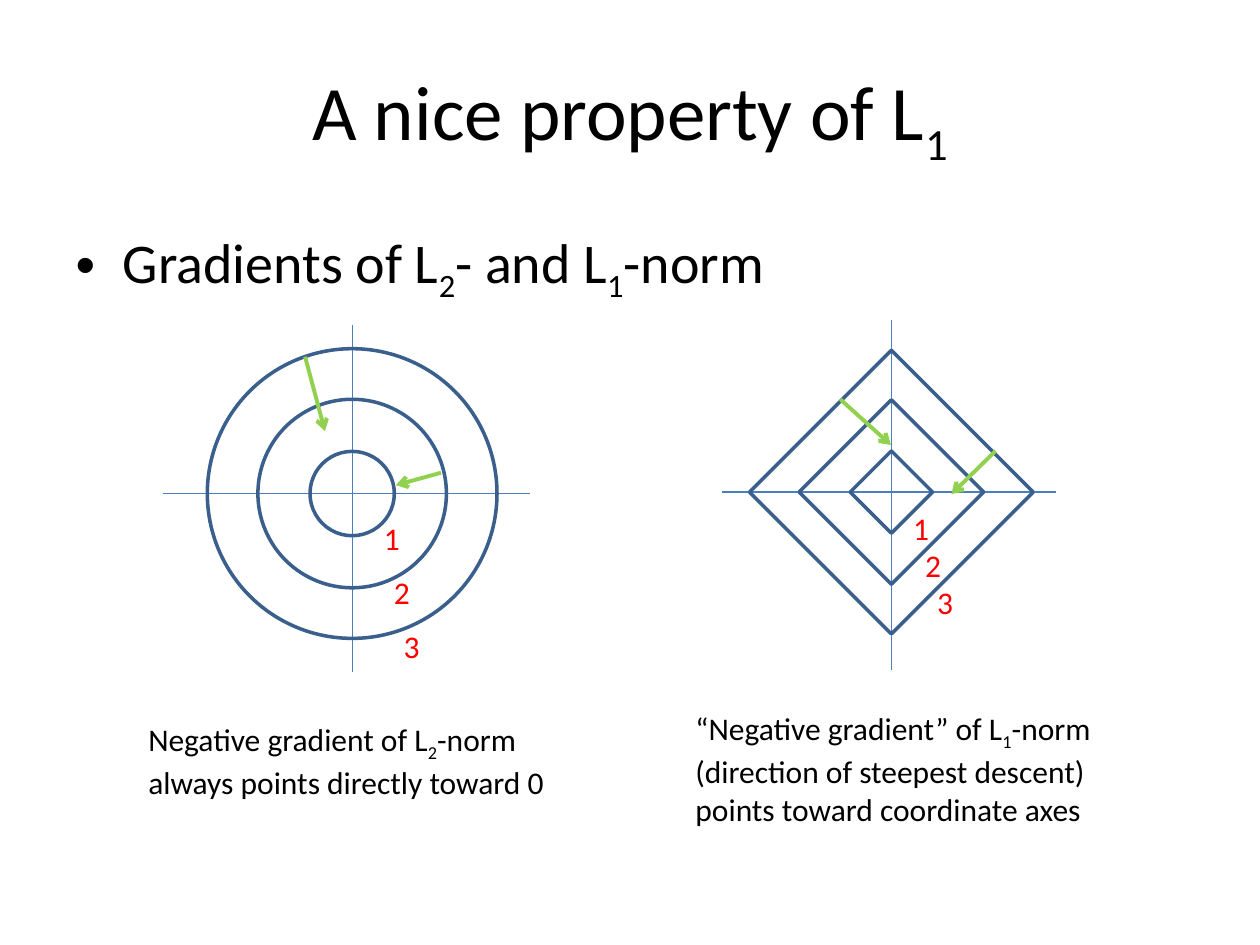
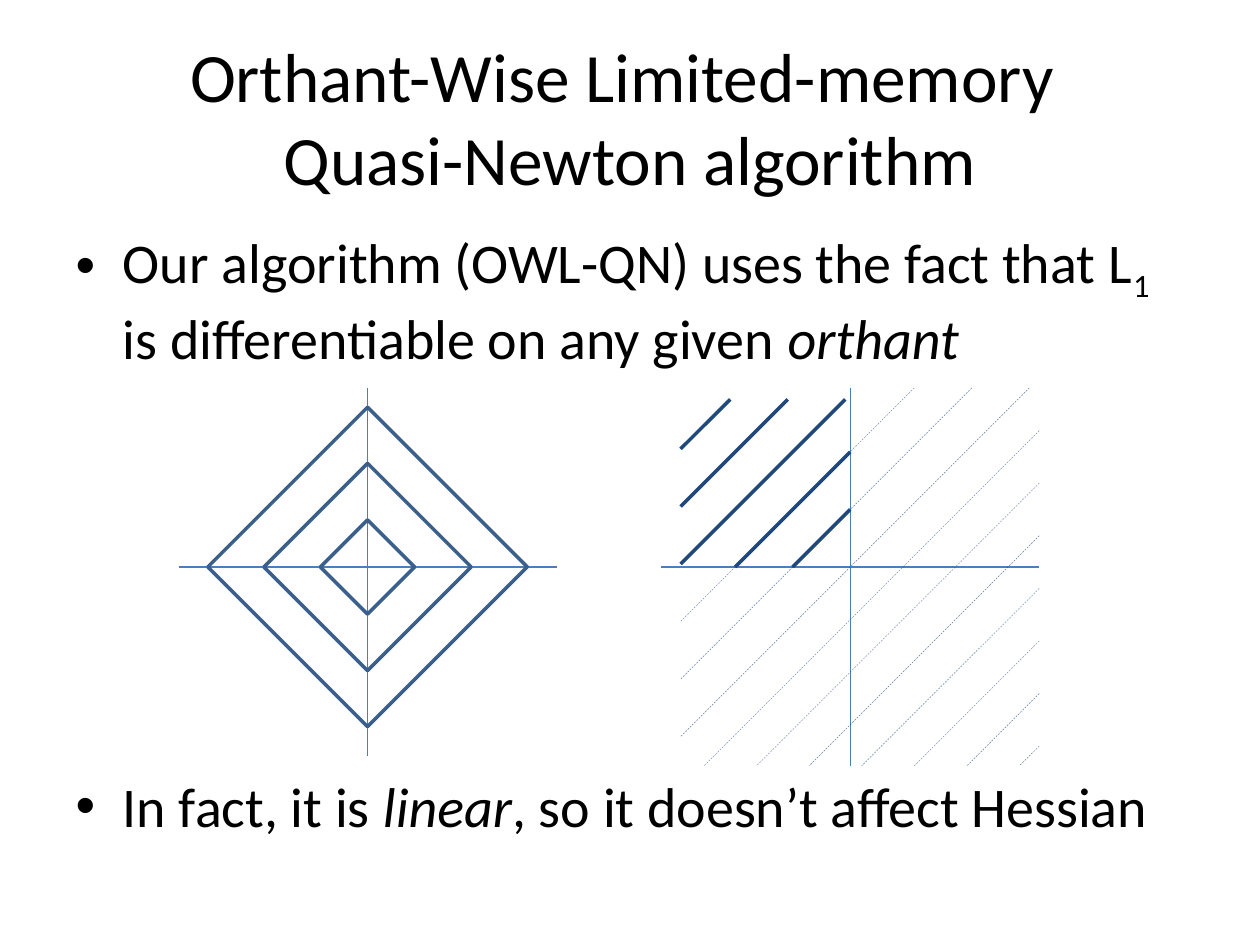
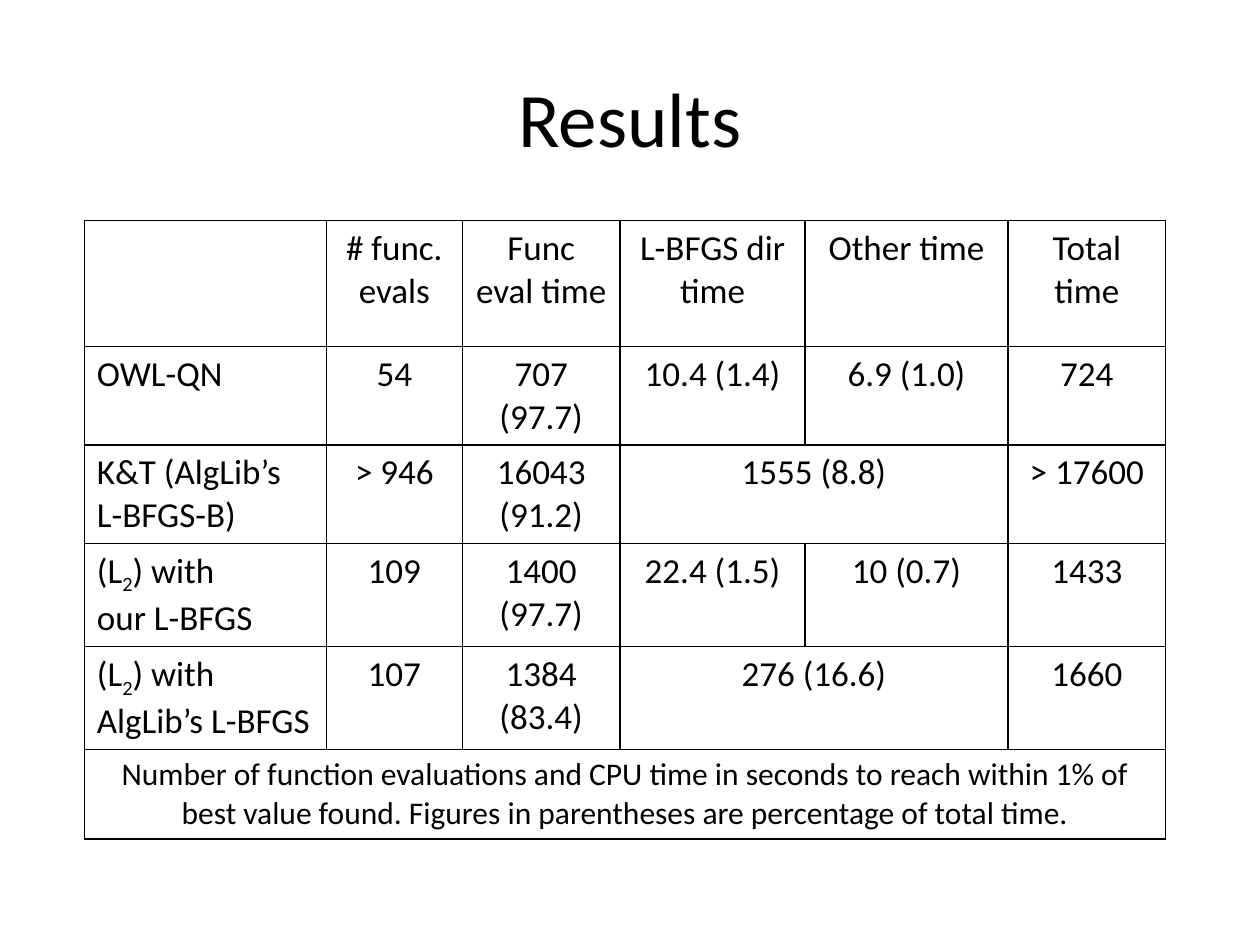
from lxml import etree
from pptx import Presentation
from pptx import util as u
from pptx.dml.color import RGBColor
from pptx.enum import dml, shapes, text
from pptx.oxml import ns

FONT = "Calibri"
BLACK = RGBColor(0, 0, 0)
RED = RGBColor(0xFF, 0, 0)
GREEN = RGBColor(0x92, 0xD0, 0x50)
AXIS_BLUE = RGBColor(0x4B, 0x7E, 0xBC)
RING_BLUE = RGBColor(0x3A, 0x5F, 0x8C)
STRIPE_BLUE = RGBColor(0x1F, 0x49, 0x7D)
CENTER = text.PP_ALIGN.CENTER
LEFT = text.PP_ALIGN.LEFT
ELLIPSE = shapes.MSO_SHAPE.OVAL
DIAMOND = shapes.MSO_SHAPE.FLOWCHART_DECISION

TITLE_BOX = (1.27, 0.76, 22.86, 3.18)
PROPERTY_TITLE = ["A nice property of L|_1"]
PROPERTY_BODY = ["Gradients of L|_2|- and L|_1|-norm"]
PROPERTY_BOX = (1.27, 4.45, 22.86, 12.57)
ALGORITHM_TITLE = ["Orthant-Wise Limited-memory ", "Quasi-Newton algorithm"]
ALGORITHM_BODY = [
    "Our algorithm (OWL-QN) uses the fact that L|_1| is differentiable on any given |*orthant",
    "In fact, it is |*linear|, so it doesn’t affect Hessian",
]
ALGORITHM_BOX = (1.27, 4.45, 22.86, 12.9)
FIGURE_GAP = 229

CIRCLES = dict(kind=ELLIPSE, center=(7.1, 9.95), radii=(0.85, 1.9, 2.92),
               box=(3.28, 6.55, 10.69, 13.54))
DIAMONDS = dict(kind=DIAMOND, center=(17.97, 9.92), radii=(0.83, 1.86, 2.86),
                box=(14.55, 6.45, 21.29, 13.51))
ORTHANT_DIAMONDS = dict(kind=DIAMOND, center=(7.41, 11.43), radii=(0.95, 2.09, 3.22),
                        box=(3.6, 7.82, 11.22, 15.24))
LEVEL_LABELS = [((7.49, 10.34), (0.2, 1.09)), ((18.16, 10.13), (0.24, 0.75))]
LEVELS = ("1", "2", "3")
CAPTIONS = [
    ((2.74, 14.4, 8.59, 1.8),
     ["Negative gradient of L|_2|-norm", "always points directly toward 0"]),
    ((13.77, 14.17, 8.76, 2.57),
     ["“Negative gradient” of L|_1|-norm", "(direction of steepest descent)",
      "points toward coordinate axes"]),
]
GRADIENTS = [
    ((6.15, 7.19), (6.55, 8.69)),
    ((8.89, 9.53), (7.98, 9.78)),
    ((16.94, 8.05), (17.96, 8.97)),
    ((20.07, 9.09), (19.18, 9.96)),
]

ORIGIN = (17.14, 11.43)
PLANE = (13.33, 7.82, 20.95, 15.44)
STRIPE_LEFT, STRIPE_TOP = 13.72, 8.05
STRIPE_STEP, FAR_STEP = 1.16, 1.06

RESULTS_TITLE = ["Results"]
TABLE_BOX = (1.7, 4.45, 21.79, 12.22)
COLUMN_WIDTHS = (4.88, 2.74, 3.18, 3.73, 4.09, 3.18)
ROW_HEIGHTS = (2.54, 1.8, 1.8, 2.03, 1.8, 1.8)
RESULTS = [
    ["", "# func. evals", "Func eval time", "L-BFGS dir time", "Other time", "Total time"],
    ["OWL-QN", "54", "707 (97.7)", "10.4 (1.4)", "6.9 (1.0)", "724"],
    ["K&T (AlgLib’s L-BFGS-B)", "> 946", "16043 (91.2)", "1555 (8.8)", None, "> 17600"],
    ["(L|_2|) with\nour L-BFGS", "109", "1400 (97.7)", "22.4 (1.5)", "10 (0.7)", "1433"],
    ["(L|_2|) with\nAlgLib’s L-BFGS", "107", "1384 (83.4)", "276 (16.6)", None, "1660"],
    ["Number of function evaluations and CPU time in seconds to reach within 1% of best "
     "value found. Figures in parentheses are percentage of total time.",
     None, None, None, None, None],
]


def write(frame, lines, size=18, color=BLACK, align=None, gap=None):
    for index, line in enumerate(lines):
        paragraph = frame.add_paragraph() if index else frame.paragraphs[0]
        if align is not None:
            paragraph.alignment = align
        if gap and index:
            paragraph.space_before = u.Pt(gap)
        for piece in filter(None, line.split("|")):
            run = paragraph.add_run()
            run.text = piece.lstrip("_*")
            run.font.size = u.Pt(size)
            run.font.name = FONT
            run.font.color.rgb = color
            if piece.startswith("_"):
                run._r.get_or_add_rPr().set("baseline", "-25000")
            if piece.startswith("*"):
                run.font.italic = True


def fill_placeholder(shape, box, lines, **style):
    shape.left, shape.top, shape.width, shape.height = map(u.Cm, box)
    shape.text_frame.auto_size = text.MSO_AUTO_SIZE.NONE
    write(shape.text_frame, lines, **style)


def add_text(slide, box, lines, **style):
    frame = slide.shapes.add_textbox(*map(u.Cm, box)).text_frame
    frame.word_wrap = False
    write(frame, lines, **style)


def add_line(slide, start, end, color=AXIS_BLUE, width=0.75, arrow=False, faint=False):
    connector = slide.shapes.add_connector(
        shapes.MSO_CONNECTOR.STRAIGHT, *map(u.Cm, start + end))
    connector.line.color.rgb = color
    connector.line.width = u.Pt(width)
    properties = connector._element.spPr
    if faint:
        connector.line.dash_style = dml.MSO_LINE.DASH
        rgb = properties.find(".//" + ns.qn("a:srgbClr"))
        etree.SubElement(rgb, ns.qn("a:alpha"), val="73000")
    if arrow:
        etree.SubElement(properties.find(ns.qn("a:ln")), ns.qn("a:tailEnd"), type="arrow")
    etree.SubElement(properties, ns.qn("a:effectLst"))


def add_axes(slide, center, box):
    x, y = center
    left, top, right, bottom = box
    add_line(slide, (left, y), (right, y))
    add_line(slide, (x, top), (x, bottom))


def add_contours(slide, kind, center, radii, box):
    add_axes(slide, center, box)
    x, y = center
    for radius in radii:
        ring = slide.shapes.add_shape(
            kind, *map(u.Cm, (x - radius, y - radius, 2 * radius, 2 * radius)))
        ring.shadow.inherit = False
        ring.fill.background()
        ring.line.color.rgb = RING_BLUE
        ring.line.width = u.Pt(2)


def add_stripe(slide, total, box, **style):
    left, top, right, bottom = box
    upper_x = min(right, total - top)
    lower_x = max(left, total - bottom)
    add_line(slide, (upper_x, total - upper_x), (lower_x, total - lower_x),
             color=STRIPE_BLUE, **style)


def add_orthant(slide):
    x, y = ORIGIN
    left, top, right, bottom = PLANE
    add_axes(slide, ORIGIN, PLANE)
    for step in range(1, 6):
        add_stripe(slide, x + y - step * STRIPE_STEP, (STRIPE_LEFT, STRIPE_TOP, x, y), width=2)
    for step in range(3):
        for quadrant in ((STRIPE_LEFT, y, x, bottom), (x, top, right, y)):
            add_stripe(slide, x + y - step * STRIPE_STEP, quadrant, width=0.25, faint=True)
    for step in range(1, 8):
        add_stripe(slide, x + y + step * FAR_STEP, (STRIPE_LEFT, top, right, bottom),
                   width=0.25, faint=True)


def format_cell(cell):
    cell.fill.background()
    properties = cell._tc.get_or_add_tcPr()
    for index, side in enumerate(("a:lnL", "a:lnR", "a:lnT", "a:lnB")):
        border = etree.Element(ns.qn(side), w=str(u.Pt(1)))
        solid = etree.SubElement(border, ns.qn("a:solidFill"))
        etree.SubElement(solid, ns.qn("a:srgbClr"), val=str(BLACK))
        properties.insert(index, border)


def add_results(slide):
    table = slide.shapes.add_table(
        len(RESULTS), len(COLUMN_WIDTHS), *map(u.Cm, TABLE_BOX)).table
    table.first_row = table.horz_banding = False
    for column, width in zip(table.columns, COLUMN_WIDTHS):
        column.width = u.Cm(width)
    for row, height in zip(table.rows, ROW_HEIGHTS):
        row.height = u.Cm(height)
    for row, values in enumerate(RESULTS):
        is_note = values[1] is None
        for column, value in enumerate(values):
            cell = table.cell(row, column)
            format_cell(cell)
            if value is None:
                continue
            last = column
            while last + 1 < len(values) and values[last + 1] is None:
                last += 1
            if last > column:
                cell.merge(table.cell(row, last))
            write(cell.text_frame, value.split("\n"), size=18 if is_note else 20,
                  align=CENTER if column or is_note else LEFT)


def add_slide(presentation, layout, title, size=44):
    slide = presentation.slides.add_slide(presentation.slide_layouts[layout])
    fill_placeholder(slide.shapes.title, TITLE_BOX, title, size=size, align=CENTER)
    return slide


def main():
    presentation = Presentation()
    presentation.slide_width, presentation.slide_height = u.Cm(25.4), u.Cm(19.05)

    slide = add_slide(presentation, 1, PROPERTY_TITLE)
    fill_placeholder(slide.placeholders[1], PROPERTY_BOX, PROPERTY_BODY, size=32)
    add_contours(slide, **CIRCLES)
    add_contours(slide, **DIAMONDS)
    for (x, y), (step_x, step_y) in LEVEL_LABELS:
        for index, level in enumerate(LEVELS):
            add_text(slide, (x + index * step_x, y + index * step_y, 0.84, 1.02),
                     [level], color=RED)
    for box, lines in CAPTIONS:
        add_text(slide, box, lines)
    for start, end in GRADIENTS:
        add_line(slide, start, end, color=GREEN, width=2.25, arrow=True)

    slide = add_slide(presentation, 1, ALGORITHM_TITLE, size=39.6)
    fill_placeholder(slide.placeholders[1], ALGORITHM_BOX, ALGORITHM_BODY,
                     size=32, gap=FIGURE_GAP)
    add_contours(slide, **ORTHANT_DIAMONDS)
    add_orthant(slide)

    slide = add_slide(presentation, 5, RESULTS_TITLE)
    add_results(slide)

    presentation.save("out.pptx")


if __name__ == "__main__":
    main()
